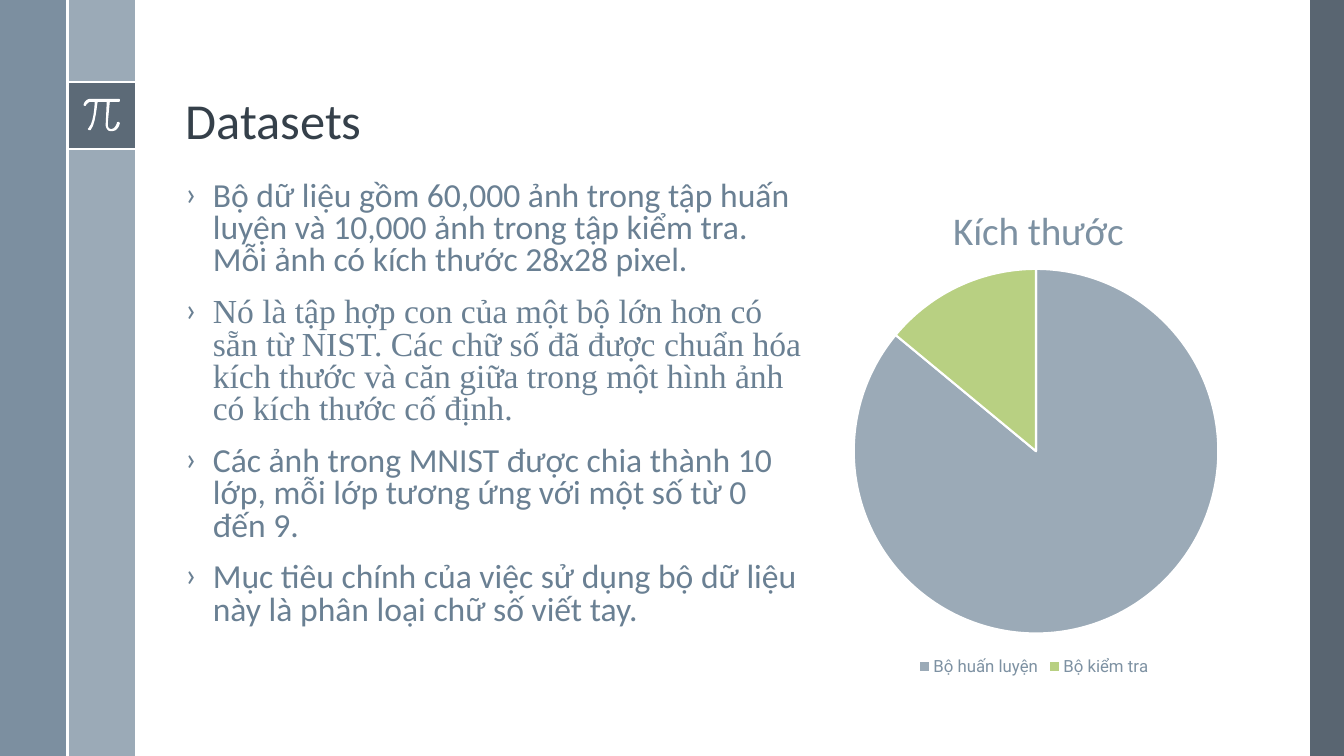
import dataclasses

import pptx
import pptx.chart.data
import pptx.dml.color
import pptx.enum.chart
import pptx.enum.shapes
import pptx.enum.text
import pptx.oxml
import pptx.oxml.ns
import pptx.util
from pptx.util import Cm, Pt

qn = pptx.oxml.ns.qn
WHITE, SLATE, STEEL, MIST = "FFFFFF", "475562", "6A8093", "9BAAB7"
GREEN, INK, GREY = "B8D082", "35404A", "7D91A2"
WIDE, HIGH, BAND = 33.87, 19.05, 1.7
MARK = 2.06  # top of the pi tile


@dataclasses.dataclass
class Panel:
    left: float
    top: float
    width: float
    height: float
    hue: str
    alpha: int = 100


@dataclasses.dataclass
class Rule:
    x1: float
    y1: float
    x2: float
    y2: float


@dataclasses.dataclass
class Point:
    text: str
    font: str = "Calibri"


PANELS = [
    Panel(33.02, 0, WIDE - 33.02, HIGH, SLATE, 90),
    Panel(BAND, 0, BAND, HIGH, MIST),
    Panel(0, 0, BAND, HIGH, STEEL, 88),
    Panel(BAND, MARK, BAND, BAND, SLATE, 75),
]
RULES = [
    Rule(BAND, MARK, 2 * BAND, MARK),
    Rule(BAND, MARK + BAND, 2 * BAND, MARK + BAND),
    Rule(BAND, 0, BAND, HIGH),
]
POINTS = [
    Point("Bộ dữ liệu gồm 60,000 ảnh trong tập huấn luyện và 10,000 ảnh trong "
          "tập kiểm tra. Mỗi ảnh có kích thước 28x28 pixel."),
    Point("Nó là tập hợp con của một bộ lớn hơn có sẵn từ NIST. Các chữ số đã "
          "được chuẩn hóa kích thước và căn giữa trong một hình ảnh có kích "
          "thước cố định.", "Times New Roman"),
    Point("Các ảnh trong MNIST được chia thành 10 lớp, mỗi lớp tương ứng với "
          "một số từ 0 đến 9."),
    Point("Mục tiêu chính của việc sử dụng bộ dữ liệu này là phân loại chữ số "
          "viết tay."),
]
# Pi outline in 1/100 inch: pairs are line ends, sixes are cubic curves
PI = [
    (118, 98), (90, 98), (85, 98, 83, 103, 83, 104), (83, 104, 83, 105, 84, 105),
    (85, 105), (85, 105, 87, 101, 90, 101), (94, 101),
    (94, 105, 93, 122, 88, 127), (87, 128, 87, 128, 88, 129), (89, 129),
    (90, 129), (95, 123, 96, 105, 97, 101), (106, 101), (105, 122),
    (105, 122, 104, 126, 107, 129), (108, 130, 109, 130, 110, 130),
    (111, 130, 111, 130, 112, 130), (117, 130, 119, 123, 119, 122),
    (119, 122, 118, 121, 118, 121), (117, 121, 116, 121, 116, 122),
    (116, 122, 115, 127, 111, 128), (110, 128, 109, 128, 108, 127),
    (107, 126, 107, 123, 107, 122), (109, 101), (118, 101),
    (119, 101, 119, 100, 119, 100), (119, 99, 119, 98, 118, 98),
]


def tint(fmt, hue: str) -> None:
    """Colour a fill, or the fill of a line."""
    fmt.solid()
    fmt.fore_color.rgb = pptx.dml.color.RGBColor.from_string(hue)


def style(font, size: float, hue: str, face: str) -> None:
    font.size, font.name, font.bold = Pt(size), face, False
    tint(font.fill, hue)


def place(shape, left: float, top: float, width: float, height: float) -> None:
    shape.left, shape.top = Cm(left), Cm(top)
    shape.width, shape.height = Cm(width), Cm(height)


def draw_panel(shapes, panel: Panel) -> None:
    box = shapes.add_shape(pptx.enum.shapes.MSO_SHAPE.RECTANGLE, 0, 0, 0, 0)
    place(box, panel.left, panel.top, panel.width, panel.height)
    box.shadow.inherit = False
    box.line.fill.background()
    tint(box.fill, panel.hue)
    if panel.alpha < 100:
        clr = next(box.fill._xPr.iter(qn("a:srgbClr")))
        pptx.oxml.xmlchemy.OxmlElement  # type used by the tree below
        clr.append(node(f'<a:alpha {NS} val="{panel.alpha * 1000}"/>'))


NS = pptx.oxml.ns.nsdecls("a")


def node(xml: str):
    return pptx.oxml.parse_xml(xml)


def draw_rule(shapes, rule: Rule) -> None:
    line = shapes.add_connector(pptx.enum.shapes.MSO_CONNECTOR.STRAIGHT,
                                Cm(rule.x1), Cm(rule.y1), Cm(rule.x2), Cm(rule.y2))
    line.line.width = Pt(1.5)
    tint(line.line.fill, WHITE)
    line._element.spPr.append(node(f"<a:effectLst {NS}/>"))


def draw_pi(shapes, steps: int = 6) -> None:
    unit = Cm(2.54) / 100
    dots = [PI[0]]
    for seg in PI[1:]:
        if len(seg) == 2:
            dots.append(seg)
            continue
        p0, p1, p2, p3 = dots[-1], seg[:2], seg[2:4], seg[4:]
        for i in range(1, steps + 1):
            t = i / steps
            u = 1 - t
            dots.append(tuple(u**3 * a + 3 * u * u * t * b + 3 * u * t * t * c + t**3 * d
                              for a, b, c, d in zip(p0, p1, p2, p3)))
    ends = [(round(x * unit), round(y * unit)) for x, y in dots]
    pen = shapes.build_freeform(*ends[0])
    pen.add_line_segments(ends[1:], close=True)
    sign = pen.convert_to_shape()
    sign.shadow.inherit = False
    sign.line.fill.background()
    tint(sign.fill, WHITE)


def write_body(body) -> None:
    place(body, 4.42, 4.45, 16.1, 12.7)
    frame = body.text_frame
    frame.auto_size = pptx.enum.text.MSO_AUTO_SIZE.NONE
    frame.vertical_anchor = pptx.enum.text.MSO_ANCHOR.TOP
    for i, point in enumerate(POINTS):
        para = frame.add_paragraph() if i else frame.paragraphs[0]
        para.line_spacing, para.space_before = 0.8, Pt(14)
        run = para.add_run()
        run.text = point.text
        style(run.font, 24, STEEL, point.font)
        props = para._p.get_or_add_pPr()
        props.set("marL", str(Cm(0.69)))
        props.set("indent", str(-Cm(0.69)))
        props.append(node(f'<a:buFont {NS} typeface="Calibri"/>'))
        props.append(node(f'<a:buChar {NS} char="›"/>'))


def pin(part, spot: int, **sides: float) -> None:
    """Give a chart part a fixed place, in shares of the chart."""
    old = part.find(qn("c:layout"))
    if old is not None:
        part.remove(old)
    inner = '<c:layoutTarget val="inner"/>' if "w" in sides else ""
    modes = '<c:xMode val="edge"/><c:yMode val="edge"/>'
    vals = "".join(f'<c:{key} val="{val}"/>' for key, val in sides.items())
    part.insert(spot, node(f'<c:layout {pptx.oxml.ns.nsdecls("c")}><c:manualLayout>'
                           f"{inner}{modes}{vals}</c:manualLayout></c:layout>"))


def draw_chart(shapes) -> None:
    data = pptx.chart.data.CategoryChartData()
    data.categories = ["Bộ huấn luyện", "Bộ kiểm tra"]
    data.add_series("Series 1", [86, 14])
    chart = shapes.add_chart(pptx.enum.chart.XL_CHART_TYPE.PIE, Cm(20.52), Cm(4.45),
                             Cm(11.07), Cm(12.7), data).chart
    style(chart.font, 10, SLATE, "Roboto")
    run = chart.chart_title.text_frame.paragraphs[0].add_run()
    run.text = "Kích thước"
    style(run.font, 28, GREY, "Calibri")
    pin(chart.chart_title._element, 1, x=0.3, y=0.04)
    pin(chart._chartSpace.chart.plotArea, 0, x=0.09, y=0.18, w=0.83, h=0.73)
    chart.has_legend = True
    chart.legend.position = pptx.enum.chart.XL_LEGEND_POSITION.BOTTOM
    chart.legend.include_in_layout = False
    style(chart.legend.font, 12, GREY, "Roboto")
    plot = chart.plots[0]
    plot.vary_by_categories = True
    for i, hue in enumerate([MIST, GREEN]):
        fmt = plot.series[0].points[i].format
        tint(fmt.fill, hue)
        tint(fmt.line.fill, WHITE)
        fmt.line.width = Pt(1.5)


def main() -> None:
    deck = pptx.Presentation()
    deck.slide_width, deck.slide_height = Cm(WIDE), Cm(HIGH)
    slide = deck.slides.add_slide(deck.slide_layouts[1])
    shapes = slide.shapes
    tint(slide.background.fill, WHITE)

    # Side bands and pi tile
    for panel in PANELS:
        draw_panel(shapes, panel)
    for rule in RULES:
        draw_rule(shapes, rule)
    draw_pi(shapes)

    # Title
    title = shapes.title
    place(title, 4.42, 0.48, 27.18, 3.45)
    title.text_frame.vertical_anchor = pptx.enum.text.MSO_ANCHOR.BOTTOM
    para = title.text_frame.paragraphs[0]
    para.alignment, para.line_spacing = pptx.enum.text.PP_ALIGN.LEFT, 0.9
    run = para.add_run()
    run.text = "Datasets"
    style(run.font, 36, INK, "Calibri")

    # List and pie
    write_body(slide.placeholders[1])
    draw_chart(shapes)
    deck.save("out.pptx")


if __name__ == "__main__":
    main()
